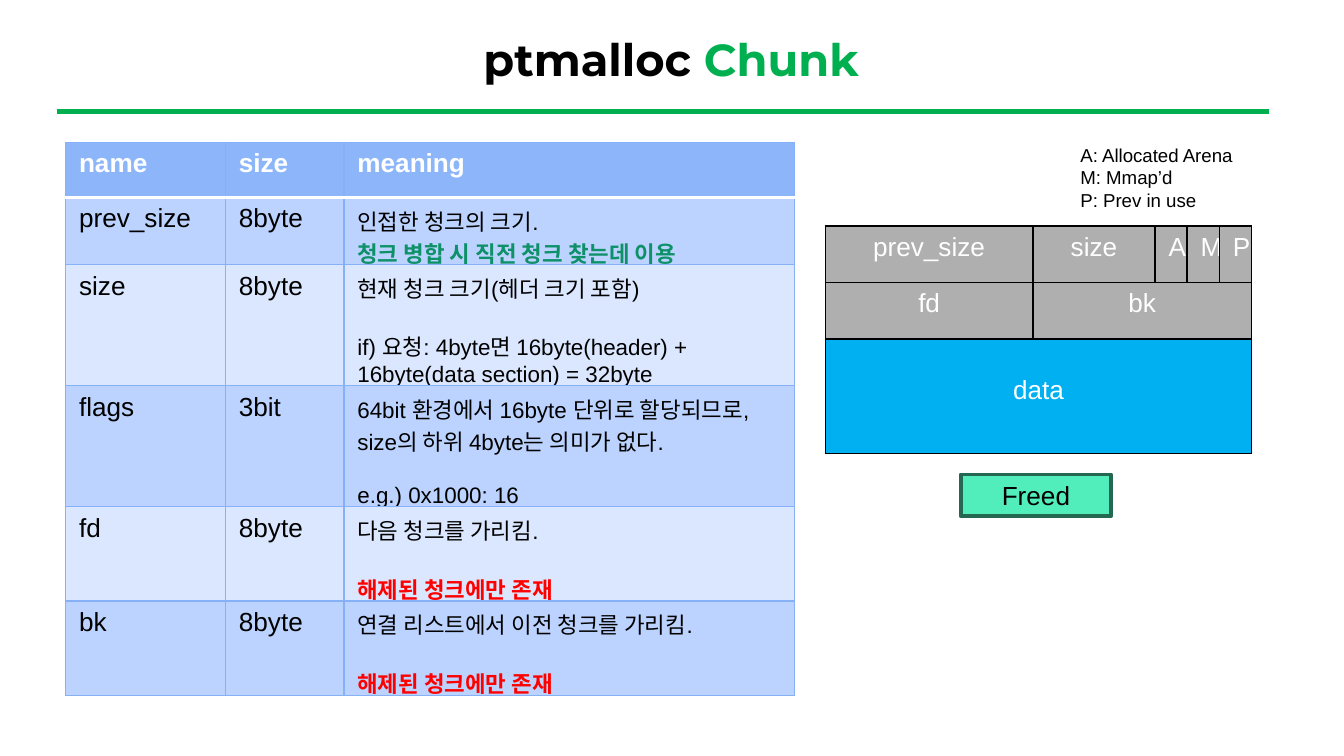
from dataclasses import dataclass

from lxml.etree import SubElement
from pptx import Presentation
from pptx.dml.color import RGBColor
from pptx.enum.shapes import MSO_CONNECTOR, MSO_SHAPE
from pptx.enum.text import MSO_ANCHOR as Anchor, PP_ALIGN as Align
from pptx.oxml.ns import qn
from pptx.util import Cm, Pt

BLACK = RGBColor(0x00, 0x00, 0x00)
WHITE = RGBColor(0xFF, 0xFF, 0xFF)
GREEN = RGBColor(0x00, 0xB0, 0x50)
DARK_GREEN = RGBColor(0x0E, 0x91, 0x68)
MINT = RGBColor(0x51, 0xEE, 0xBC)
MINT_BORDER = RGBColor(0x24, 0x68, 0x52)
RED = RGBColor(0xFF, 0x00, 0x00)
GRAY = RGBColor(0xAF, 0xAF, 0xAF)
SKY = RGBColor(0x00, 0xB0, 0xF0)
HEADER_BLUE = RGBColor(0x8D, 0xB6, 0xFA)
BAND_DARK = RGBColor(0xBB, 0xD3, 0xFE)
BAND_LIGHT = RGBColor(0xDB, 0xE7, 0xFE)
GRID_BLUE = RGBColor(0x87, 0xB1, 0xF7)


@dataclass
class Line:
    text: str
    color: RGBColor = BLACK
    bold: bool = False
    gap: int = 0


FREED_ONLY = Line("해제된 청크에만 존재", RED, True, 14)
FIELDS = [
    ("prev_size", "8byte", 1.27, [
        Line("인접한 청크의 크기."),
        Line("청크 병합 시 직전 청크 찾는데 이용", DARK_GREEN, True)]),
    ("size", "8byte", 2.29, [
        Line("현재 청크 크기(헤더 크기 포함)"),
        Line("if) 요청: 4byte면 16byte(header) + 16byte(data section) = 32byte", gap=14)]),
    ("flags", "3bit", 2.29, [
        Line("64bit 환경에서 16byte 단위로 할당되므로, size의 하위 4byte는 의미가 없다."),
        Line("e.g.) 0x1000: 16", gap=14)]),
    ("fd", "8byte", 1.78, [Line("다음 청크를 가리킴."), FREED_ONLY]),
    ("bk", "8byte", 1.78, [Line("연결 리스트에서 이전 청크를 가리킴."), FREED_ONLY]),
]
CHUNK_LAYOUT = [
    (0, 0, 1, "prev_size"), (0, 1, 1, "size"), (0, 2, 1, "A"), (0, 3, 1, "M"), (0, 4, 1, "P"),
    (1, 0, 1, "fd"), (1, 1, 4, "bk"), (2, 0, 5, "data"),
]


class SlideBuilder:
    """Draws styled elements on the current slide."""

    font_name = "Arial"
    title_font = "Montserrat"

    def __init__(self, slide):
        self.slide = slide

    def fill_text(self, frame, lines, size, align=Align.LEFT):
        for index, line in enumerate(lines):
            paragraph = frame.paragraphs[0] if index == 0 else frame.add_paragraph()
            paragraph.text = line.text
            paragraph.alignment = align
            paragraph.space_before = Pt(line.gap)
            font = paragraph.font
            font.name, font.size = self.font_name, Pt(size)
            font.bold, font.color.rgb = line.bold, line.color

    def title(self, parts, left, top, width, height):
        frame = self.slide.shapes.add_textbox(Cm(left), Cm(top), Cm(width), Cm(height)).text_frame
        frame.word_wrap = True
        frame.vertical_anchor = Anchor.MIDDLE
        paragraph = frame.paragraphs[0]
        paragraph.alignment = Align.CENTER
        font = paragraph.font
        font.name, font.size, font.bold = self.title_font, Pt(24), True
        for text, color in parts:
            run = paragraph.add_run()
            run.text = text
            run.font.color.rgb = color

    def rule(self, left, right, y, color, weight):
        line = self.slide.shapes.add_connector(
            MSO_CONNECTOR.STRAIGHT, Cm(left), Cm(y), Cm(right), Cm(y))
        line.line.color.rgb, line.line.width = color, Pt(weight)
        SubElement(line._element.spPr, qn("a:effectLst"))

    def text(self, lines, left, top, width, height, size):
        frame = self.slide.shapes.add_textbox(Cm(left), Cm(top), Cm(width), Cm(height)).text_frame
        frame.word_wrap = True
        self.fill_text(frame, lines, size)

    def box(self, text, left, top, width, height, fill, border):
        shape = self.slide.shapes.add_shape(
            MSO_SHAPE.RECTANGLE, Cm(left), Cm(top), Cm(width), Cm(height))
        shape.shadow.inherit = False
        shape.fill.solid()
        shape.fill.fore_color.rgb = fill
        shape.line.color.rgb, shape.line.width = border, Pt(2)
        shape.text_frame.vertical_anchor = Anchor.MIDDLE
        self.fill_text(shape.text_frame, [Line(text)], 14, Align.CENTER)

    def table(self, left, top, widths, heights):
        table = self.slide.shapes.add_table(
            len(heights), len(widths), Cm(left), Cm(top),
            Cm(sum(widths)), Cm(sum(heights))).table
        table.first_row = table.horz_banding = False
        for column, width in zip(table.columns, widths):
            column.width = Cm(width)
        for row, height in zip(table.rows, heights):
            row.height = Cm(height)
        return table

    def cell(self, cell, lines, size, fill, borders, align=Align.LEFT):
        properties = cell._tc.get_or_add_tcPr()
        for side, (color, weight) in zip(("lnL", "lnR", "lnT", "lnB"), borders):
            line = SubElement(properties, qn(f"a:{side}"), w=str(Pt(weight)))
            solid = SubElement(line, qn("a:solidFill"))
            SubElement(solid, qn("a:srgbClr"), val=str(color))
        cell.fill.solid()
        cell.fill.fore_color.rgb = fill
        self.fill_text(cell.text_frame, lines, size, align)


def draw_fields(builder):
    heights = [1.04] + [height for _, _, height, _ in FIELDS]
    table = builder.table(1.24, 2.69, [3.02, 2.24, 8.51], heights)
    grid, divider = (GRID_BLUE, 0.75), (WHITE, 2)
    for column, name in enumerate(["name", "size", "meaning"]):
        builder.cell(table.cell(0, column), [Line(name, WHITE, True)], 14,
                     HEADER_BLUE, [grid, grid, grid, divider])
    for row, (name, size, _, meaning) in enumerate(FIELDS, start=1):
        fill = BAND_DARK if row % 2 else BAND_LIGHT
        borders = [grid, grid, divider if row == 1 else grid, grid]
        contents = [([Line(name)], 14), ([Line(size)], 14), (meaning, 12)]
        for column, (lines, font_size) in enumerate(contents):
            builder.cell(table.cell(row, column), lines, font_size, fill, borders)


def draw_chunk(builder):
    table = builder.table(15.6, 4.27, [3.92, 2.31] + [0.59] * 3, [1.07, 1.07, 2.16])
    borders = [(BLACK, 1)] * 4
    for row, column, span, text in CHUNK_LAYOUT:
        cell = table.cell(row, column)
        fill = SKY if text == "data" else GRAY
        if span > 1:
            cell.merge(table.cell(row, column + span - 1))
        builder.cell(cell, [Line(text, WHITE)], 14, fill, borders, Align.CENTER)
        for hidden in range(column + 1, column + span):
            builder.cell(table.cell(row, hidden), [], 14, fill, borders)
    table.cell(2, 0).margin_top = Cm(0.7)


def main():
    presentation = Presentation()
    presentation.slide_width, presentation.slide_height = Cm(25.4), Cm(14.29)
    builder = SlideBuilder(presentation.slides.add_slide(presentation.slide_layouts[6]))
    builder.title([("ptmalloc ", BLACK), ("Chunk", GREEN)], 1.24, 0.33, 22.89, 1.55)
    builder.rule(1.07, 23.98, 2.11, GREEN, 3)
    draw_chunk(builder)
    builder.box("Freed", 18.16, 8.97, 2.84, 0.79, MINT, MINT_BORDER)
    legend = ["A: Allocated Arena", "M: Mmap’d", "P: Prev in use"]
    builder.text([Line(text) for text in legend], 20.17, 2.59, 3.81, 1.55, 10)
    draw_fields(builder)
    presentation.save("out.pptx")


if __name__ == "__main__":
    main()
